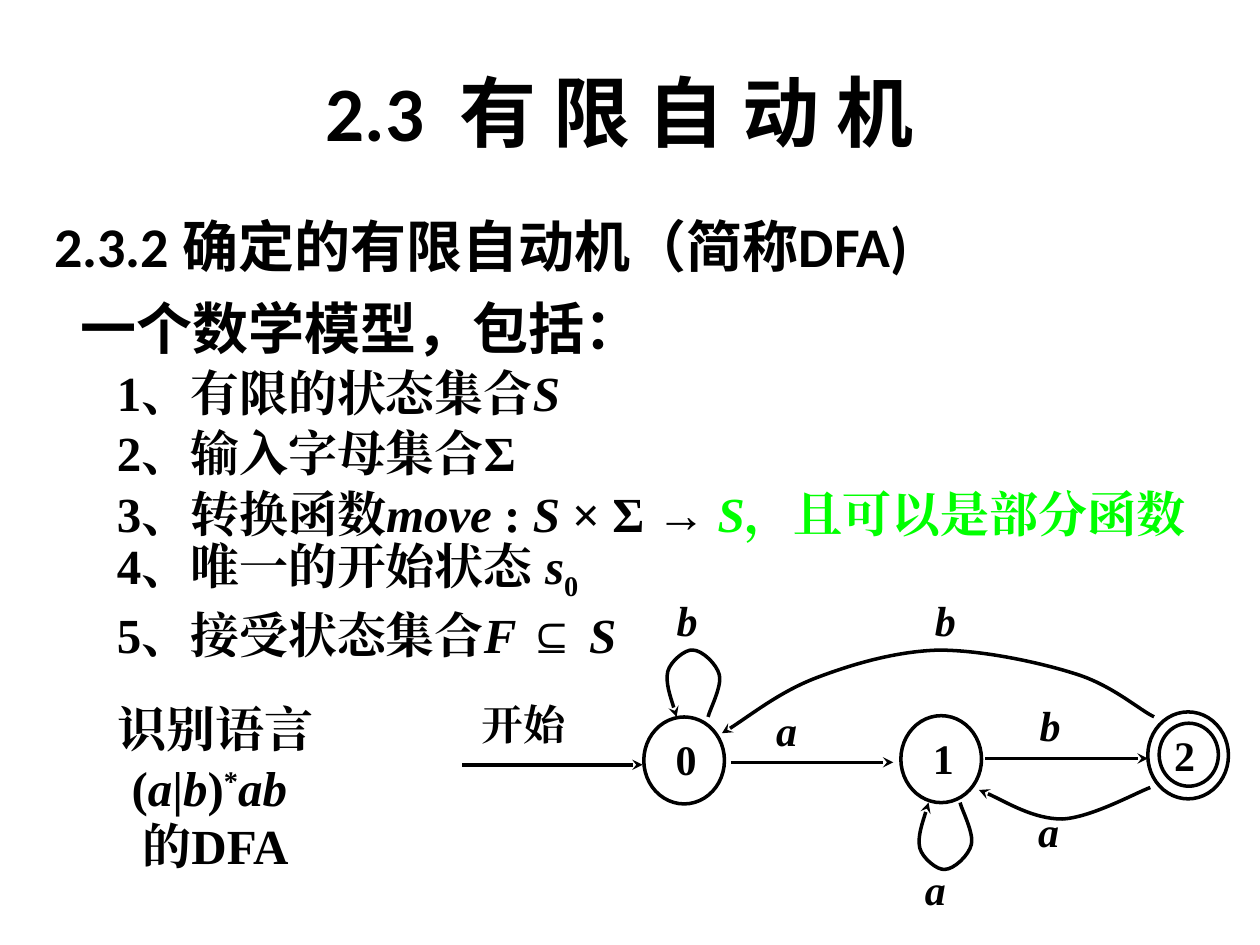
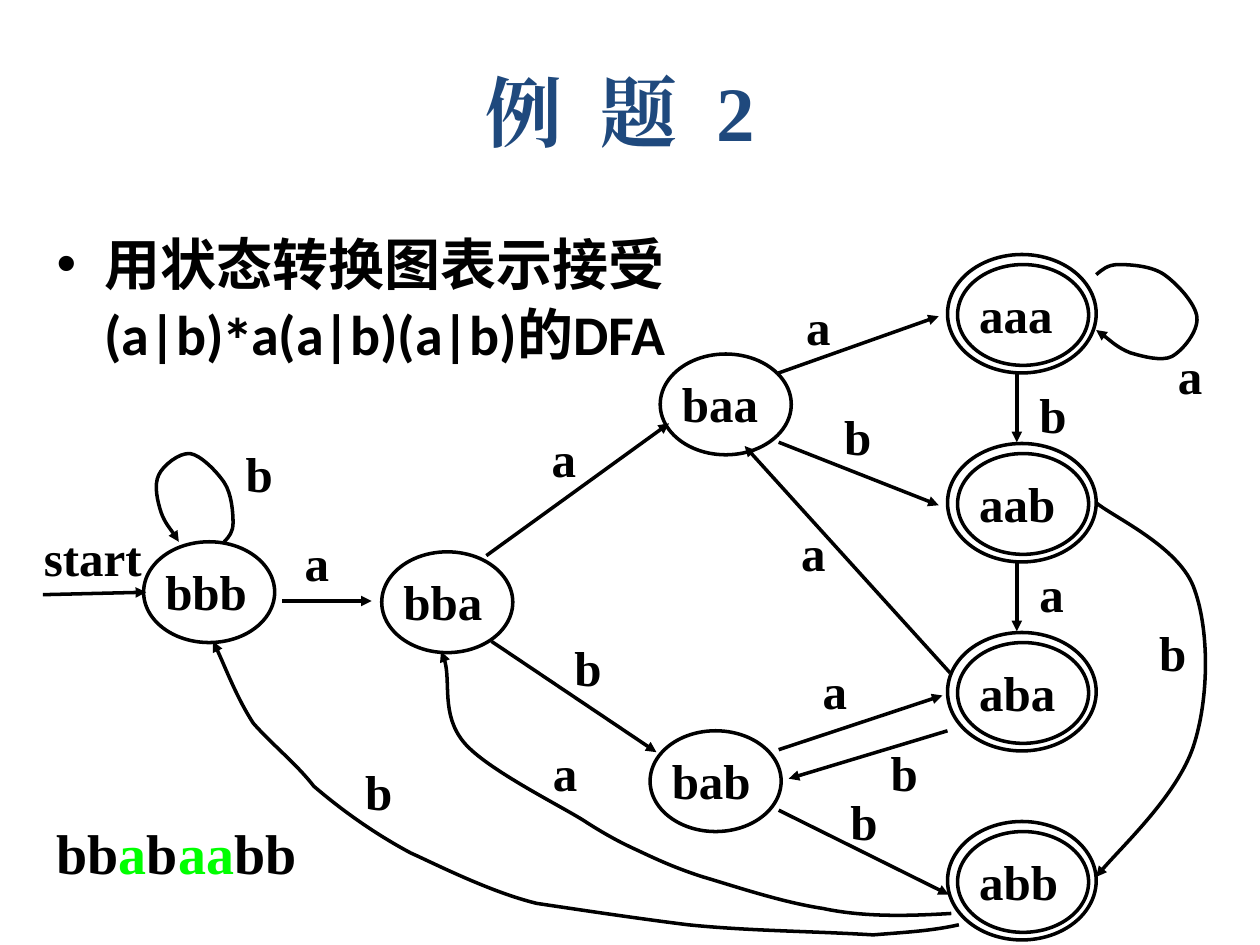
from lxml.etree import SubElement
from pptx import Presentation
from pptx.dml.color import RGBColor
from pptx.enum.shapes import MSO_CONNECTOR, MSO_SHAPE
from pptx.enum.text import MSO_ANCHOR, MSO_AUTO_SIZE, PP_ALIGN
from pptx.oxml.ns import qn
from pptx.util import Inches, Pt

COLORS = {"ink": "000000", "green": "00FF00", "navy": "1F497D"}
SANS, SERIF = "Calibri", "Times New Roman"
PAD = (0.1, 0.05, 0.1, 0.05)


class Deck:
    """Hold the shared style and the current slide, and draw each kind of element."""

    def __init__(self):
        self.prs = Presentation()
        self.prs.slide_width, self.prs.slide_height = Inches(10), Inches(7.5)

    def start(self, title, font, color, head):
        self.slide = self.prs.slides.add_slide(self.prs.slide_layouts[1])
        self.shapes = self.slide.shapes
        self.head = head
        self.place(self.shapes.title, (0.67, 0.25, 8.5, 1.25))
        self.fill(self.shapes.title, [title], 44, font, color,
                  align=PP_ALIGN.CENTER, anchor=MSO_ANCHOR.MIDDLE)

    def place(self, shape, box):
        shape.left, shape.top, shape.width, shape.height = map(Inches, box)

    def body(self, box, lines, margins, bullet=False, gap=0):
        holder = self.slide.placeholders[1]
        self.place(holder, box)
        for k, (para, (left, hang)) in enumerate(
                zip(self.paras(holder.text_frame, len(lines)), margins)):
            props = para._p.get_or_add_pPr()
            props.set("marL", str(Inches(left)))
            props.set("indent", str(Inches(hang)))
            if bullet and k == 0:
                SubElement(props, qn("a:buChar")).set("char", "•")
            else:
                SubElement(props, qn("a:buNone"))
        self.fill(holder, lines, 32, SANS, pitch=40, gap=gap)

    def paras(self, frame, count):
        while len(frame.paragraphs) < count:
            frame.add_paragraph()
        return frame.paragraphs

    def fill(self, shape, lines, size, font, color="ink", align=PP_ALIGN.LEFT,
             anchor=MSO_ANCHOR.TOP, inset=PAD, wrap=True, pitch=None, gap=0):
        frame = shape.text_frame
        frame.auto_size = MSO_AUTO_SIZE.NONE
        frame.word_wrap = wrap
        frame.vertical_anchor = anchor
        (frame.margin_left, frame.margin_top,
         frame.margin_right, frame.margin_bottom) = map(Inches, inset)
        for k, (para, line) in enumerate(zip(self.paras(frame, len(lines)), lines)):
            para.alignment = align
            para.space_before = Pt(gap if k else 0)
            if pitch:
                para.line_spacing = Pt(pitch)
            for part in [line] if isinstance(line, str) else line:
                text, marks = (part, "") if isinstance(part, str) else part
                self.chunk(para, text, marks, size, font, color)

    def chunk(self, para, text, marks, size, font, color):
        run = para.add_run()
        run.text = text
        face = run.font
        face.size, face.name, face.bold = Pt(size), font, True
        face.italic = "i" in marks
        face.color.rgb = RGBColor.from_string(COLORS["green" if "g" in marks else color])
        props = run._r.get_or_add_rPr()
        SubElement(props, qn("a:ea")).set("typeface", font)
        for mark, shift in (("^", "30000"), ("_", "-25000")):
            if mark in marks:
                props.set("baseline", shift)

    def label(self, box, lines, size, **style):
        self.fill(self.shapes.add_textbox(*map(Inches, box)), lines, size, SERIF, **style)

    def stroke(self, shape, head=None):
        shape.line.color.rgb = RGBColor.from_string(COLORS["ink"])
        shape.line.width = Pt(2)
        if head:
            SubElement(shape.line._get_or_add_ln(), qn("a:tailEnd")).set("type", head)

    def oval(self, box, text="", size=24, inset=PAD, anchor=MSO_ANCHOR.TOP):
        shape = self.shapes.add_shape(MSO_SHAPE.OVAL, *map(Inches, box))
        shape.shadow.inherit = False
        shape.fill.background()
        self.stroke(shape)
        if text:
            self.fill(shape, [text], size, SERIF, inset=inset, anchor=anchor)

    def arrow(self, *ends):
        line = self.shapes.add_connector(MSO_CONNECTOR.STRAIGHT, *map(Inches, ends))
        self.stroke(line, self.head)
        SubElement(line._element.spPr, qn("a:effectLst"))

    def curve(self, *flat):
        first, *rest = zip(map(Inches, flat[::2]), map(Inches, flat[1::2]))
        pen = self.shapes.build_freeform(*first)
        pen.add_line_segments(rest, close=False)
        shape = pen.convert_to_shape()
        shape.shadow.inherit = False
        shape.fill.background()
        self.stroke(shape, self.head)
        steps = shape._element.xpath(".//a:lnTo")
        for bend, *others in zip(steps[::3], steps[1::3], steps[2::3]):
            bend.tag = qn("a:cubicBezTo")
            for step in others:
                bend.extend(list(step))
                step.getparent().remove(step)


def model(deck):
    deck.start("2.3  有 限 自 动 机", SANS, "ink", "stealth")
    deck.body((0.33, 1.61, 9, 1.27),
              ["2.3.2 确定的有限自动机（简称DFA)", "一个数学模型，包括："],
              [(0.38, -0.38), (0.21, 0)], gap=6.4)
    deck.label((0.83, 2.81, 8.73, 2.52), [
        ["1、有限的状态集合", ("S", "i")],
        "2、输入字母集合Σ",
        ["3、转换函数", ("move ", "i"), ": ", ("S ", "i"), "× Σ → ",
         ("S", "ig"), ("，且可以是部分函数", "g")],
        ["4、唯一的开始状态 ", ("s", "i"), ("0", "_")],
        ["5、接受状态集合", ("F ", "i"), "⊆", (" S", "i")],
    ], 28, anchor=MSO_ANCHOR.MIDDLE, wrap=False, pitch=33.5, gap=1)

    ring = (0.16, 0.03, 0.02, 0.05)
    deck.oval((5.11, 5.69, 0.64, 0.69), "0", inset=ring)
    deck.oval((7.15, 5.68, 0.64, 0.69), "1", inset=ring)
    deck.oval((9.11, 5.65, 0.64, 0.69))
    deck.oval((9.2, 5.74, 0.47, 0.5), "2", inset=(0.05, 0, 0.01, 0),
              anchor=MSO_ANCHOR.MIDDLE)
    for left, right, y in ((3.67, 5.1, 6.07), (5.8, 7.09, 6.05), (7.82, 9.11, 6.02)):
        deck.arrow(left, y, right, y)

    loop = (5.62, 5.69, 5.63, 5.64, 5.73, 5.45, 5.71, 5.36, 5.69, 5.27, 5.57, 5.16,
            5.5, 5.16, 5.44, 5.15, 5.32, 5.25, 5.3, 5.33, 5.28, 5.42, 5.35, 5.62,
            5.37, 5.69)
    deck.curve(*loop)
    deck.curve(*(12.06 - v if k % 2 else v + 2 for k, v in enumerate(loop)))
    deck.curve(9.13, 6.25, 9.02, 6.29, 8.66, 6.49, 8.43, 6.5,
               8.2, 6.5, 7.91, 6.32, 7.77, 6.27)
    deck.curve(9.16, 5.69, 9.05, 5.64, 8.83, 5.44, 8.54, 5.35,
               8.26, 5.26, 7.8, 5.16, 7.45, 5.16, 7.11, 5.17, 6.77, 5.27, 6.48, 5.38,
               6.19, 5.49, 5.89, 5.73, 5.73, 5.82)

    slim = (0.06, 0.03, 0.06, 0.03)
    deck.label((3.76, 5.51, 1.04, 0.65), ["开始"], 24, inset=slim)
    for x, y, name in ((6.1, 5.56, "a"), (7.28, 6.82, "a"), (8.18, 6.36, "a"),
                       (8.19, 5.52, "b"), (5.31, 4.69, "b"), (7.36, 4.69, "b")):
        deck.label((x, y, 0.52, 0.56), [[(name, "i")]], 24, inset=slim)
    deck.label((0.42, 5.33, 2.58, 1.83), [
        "识别语言",
        ["(", ("a", "i"), "|", ("b", "i"), ")", ("*", "^"), ("ab ", "i")],
        "的DFA",
    ], 28, align=PP_ALIGN.CENTER, anchor=MSO_ANCHOR.MIDDLE, inset=slim,
        wrap=False, pitch=33.5)


def example(deck):
    deck.start("例  题  2", SERIF, "navy", "triangle")
    deck.body((0.35, 1.75, 9.37, 5.31),
              ["用状态转换图表示接受", ["(a|b)", ("∗", "^"), "a(a|b)(a|b)的DFA"]],
              [(0.38, -0.38), (0.38, 0)], bullet=True)

    finals = [(name, 7.6, 2.1 + 1.5 * k)
              for k, name in enumerate(("aaa", "aab", "aba", "abb"))]
    inner = [("bbb", 1.14, 4.3), ("bba", 3.03, 4.38), ("baa", 5.24, 2.81), ("bab", 5.16, 5.8)]
    for name, x, y in inner + finals:
        deck.oval((x, y, 1.04, 0.8), name, 28, (0.02, 0.04, 0.02, 0.04))
    for name, x, y in finals:
        deck.oval((x - 0.08, y - 0.08, 1.18, 0.94))

    for ends in ((0.34, 4.72, 1.16, 4.7), (2.24, 4.77, 2.95, 4.77),
                 (3.86, 4.41, 5.31, 3.36), (3.9, 5.09, 5.21, 5.97),
                 (6.18, 3.51, 7.45, 4.01), (6.18, 2.96, 7.45, 2.51),
                 (6.18, 5.95, 7.48, 5.52), (6.18, 6.43, 7.53, 7.1),
                 (8.07, 2.96, 8.07, 3.51), (8.07, 4.46, 8.07, 5.01),
                 (7.54, 5.34, 5.91, 3.54), (7.52, 5.8, 6.26, 6.18)):
        deck.arrow(*ends)

    deck.curve(8.7, 2.18, 8.75, 2.14, 8.79, 2.1, 8.88, 2.1,
               8.97, 2.1, 9.14, 2.11, 9.24, 2.18, 9.34, 2.25, 9.49, 2.41, 9.5, 2.52,
               9.51, 2.63, 9.39, 2.78, 9.3, 2.83, 9.22, 2.87, 9.07, 2.83, 8.97, 2.8,
               8.87, 2.76, 8.75, 2.65, 8.7, 2.62)
    deck.curve(1.78, 4.3, 1.82, 4.26, 1.85, 4.22, 1.85, 4.15,
               1.85, 4.07, 1.84, 3.92, 1.78, 3.83, 1.72, 3.74, 1.59, 3.61, 1.51, 3.6,
               1.42, 3.59, 1.29, 3.7, 1.26, 3.77, 1.22, 3.85, 1.25, 3.98, 1.28, 4.07,
               1.31, 4.15, 1.4, 4.26, 1.42, 4.3)
    deck.curve(8.7, 3.99, 8.83, 4.1, 9.34, 4.33, 9.47, 4.65,
               9.6, 4.98, 9.6, 5.54, 9.47, 5.93, 9.34, 6.31, 8.83, 6.79, 8.7, 6.96)
    deck.curve(7.55, 7.25, 7.21, 7.27, 6.86, 7.28, 6.53, 7.21,
               6.2, 7.16, 5.82, 7.03, 5.58, 6.96, 5.33, 6.88, 5.17, 6.8, 5.02, 6.73,
               4.89, 6.67, 4.77, 6.6, 4.66, 6.53, 4.5, 6.42, 3.86, 6.11, 3.68, 5.89,
               3.5, 5.67, 3.6, 5.34, 3.5, 5.17)
    deck.curve(7.61, 7.34, 7.39, 7.39, 7.17, 7.4, 6.93, 7.42,
               6.44, 7.39, 5.95, 7.39, 5.46, 7.34, 5.06, 7.29, 4.66, 7.23, 4.26, 7.17,
               3.89, 7.08, 3.46, 6.86, 3.26, 6.77, 2.96, 6.61, 2.7, 6.42, 2.49, 6.24,
               2.35, 6.06, 2.16, 5.91, 2.01, 5.74, 1.88, 5.54, 1.75, 5.2, 1.69, 5.09)

    tight = (0.1, 0.01, 0.1, 0.05)
    marks = {
        "a": ((2.32, 4.22), (4.28, 3.39), (6.3, 2.34), (6.43, 5.23), (9.25, 2.73),
              (8.15, 4.46), (6.26, 4.14), (4.29, 5.88)),
        "b": ((4.46, 5.05), (1.85, 3.51), (6.6, 3.22), (6.65, 6.27), (8.15, 3.04),
              (9.1, 4.93), (6.97, 5.88), (2.8, 6.03)),
    }
    for name, spots in marks.items():
        for x, y in spots:
            deck.label((x, y, 0.55, 0.45), [name], 28, inset=tight)
    deck.label((0.25, 4.18, 1.1, 0.45), ["start"], 28, inset=tight)
    deck.label((0.35, 6.35, 2.42, 0.83),
               [["bb", ("a", "g"), "b", ("aa", "g"), "bb"]], 32,
               anchor=MSO_ANCHOR.MIDDLE, wrap=False)


def main():
    deck = Deck()
    model(deck)
    example(deck)
    deck.prs.save("out.pptx")


if __name__ == "__main__":
    main()
